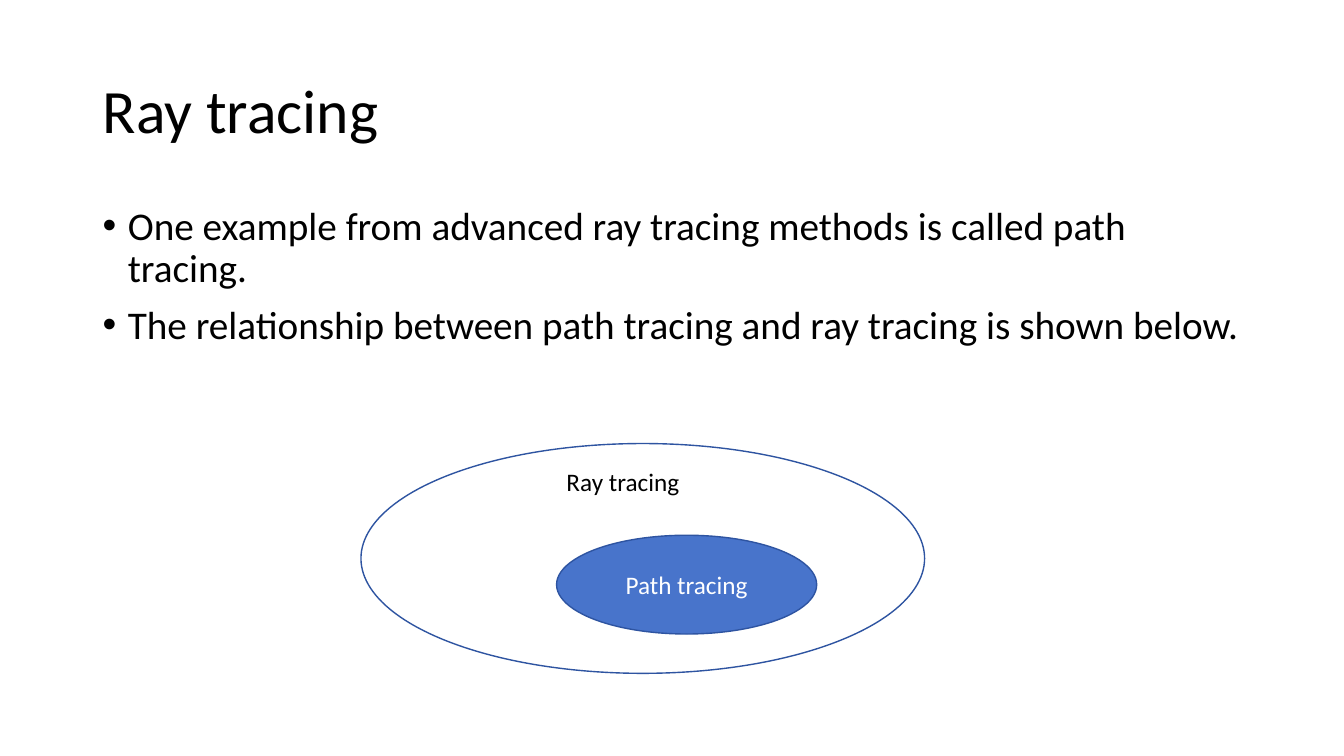
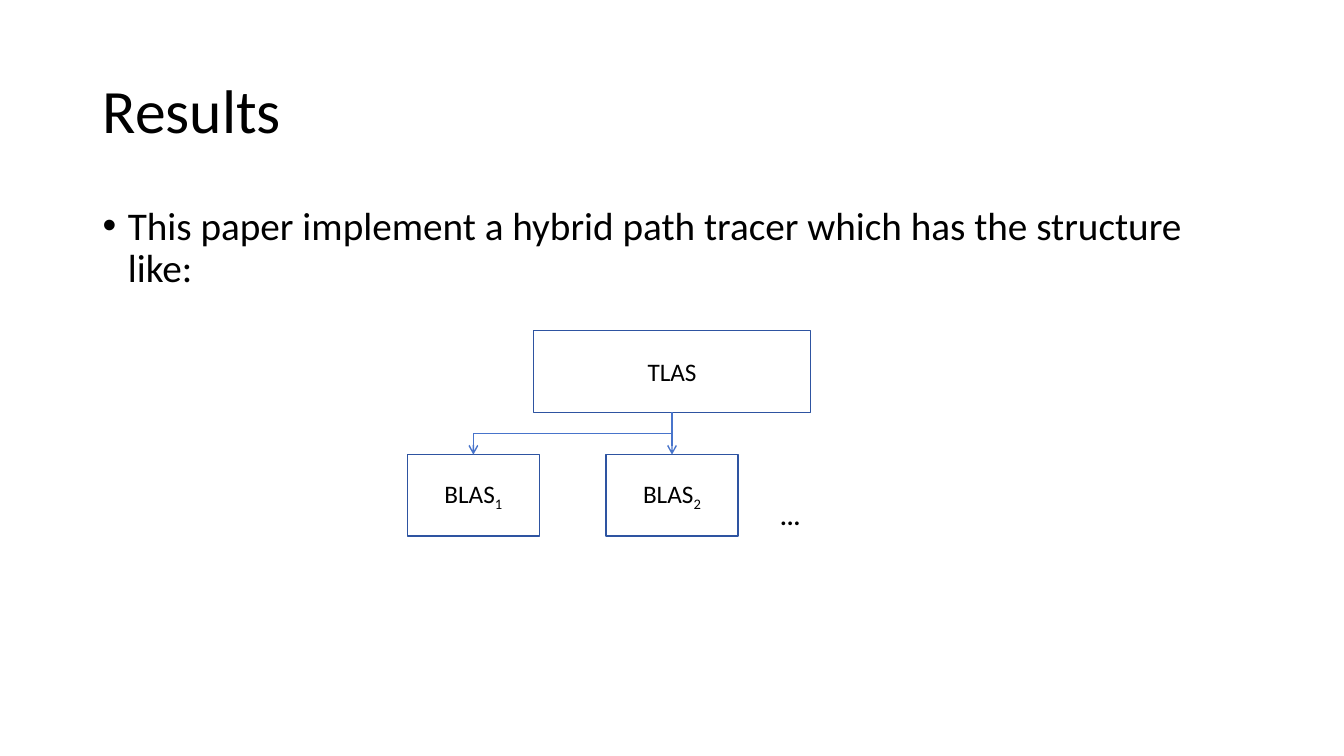
from dataclasses import dataclass

from lxml.etree import SubElement
from pptx import Presentation
from pptx.dml.color import RGBColor
from pptx.enum.shapes import MSO_CONNECTOR, MSO_SHAPE
from pptx.enum.text import MSO_ANCHOR, PP_ALIGN
from pptx.oxml.ns import qn
from pptx.util import Inches, Pt


@dataclass(frozen=True)
class Theme:
    font: str = "Calibri"
    ink: str = "000000"
    paper: str = "FFFFFF"
    accent: str = "4874CB"
    outline: str = "2E54A1"
    title_size: int = 44
    body_size: int = 28
    label_size: int = 18
    line_width: int = 1


THEME = Theme()


def rgb(value):
    return RGBColor.from_string(value)


def add_bullet(paragraph):
    properties = paragraph._p.get_or_add_pPr()
    properties.set("marL", str(Inches(0.25)))
    properties.set("indent", str(-Inches(0.25)))
    SubElement(properties, qn("a:buFont"), typeface="Arial")
    SubElement(properties, qn("a:buChar"), char="•")


def write(frame, paragraphs, *, size=THEME.label_size, color=THEME.ink,
          bold=False, align=PP_ALIGN.LEFT, anchor=MSO_ANCHOR.TOP,
          line_spacing=None, space_before=0, bullet=False, subscript=""):
    """Fill a text frame; a subscript follows the last paragraph."""
    frame.word_wrap = True
    frame.vertical_anchor = anchor
    for index, text in enumerate(paragraphs):
        paragraph = frame.add_paragraph() if index else frame.paragraphs[0]
        if bullet:
            add_bullet(paragraph)
        paragraph.alignment = align
        paragraph.line_spacing = line_spacing
        if index:
            paragraph.space_before = Pt(space_before)
        paragraph.add_run().text = text
    if subscript:
        lowered = paragraph.add_run()
        lowered.text = subscript
        lowered._r.get_or_add_rPr().set("baseline", "-25000")
    for paragraph in frame.paragraphs:
        for run in paragraph.runs:
            run.font.name = THEME.font
            run.font.size = Pt(size)
            run.font.bold = bold
            run.font.color.rgb = rgb(color)


def add_text(slide, box, paragraphs, **text_format):
    frame = slide.shapes.add_textbox(*map(Inches, box)).text_frame
    write(frame, paragraphs, **text_format)


def add_node(slide, kind, box, label="", fill=None, **text_format):
    """Add an outlined shape with an optional centred label."""
    node = slide.shapes.add_shape(kind, *map(Inches, box))
    node.shadow.inherit = False
    if fill:
        node.fill.solid()
        node.fill.fore_color.rgb = rgb(fill)
    else:
        node.fill.background()
    node.line.color.rgb = rgb(THEME.outline)
    node.line.width = Pt(THEME.line_width)
    if label:
        write(node.text_frame, [label], align=PP_ALIGN.CENTER,
              anchor=MSO_ANCHOR.MIDDLE, **text_format)
    return node


def add_arrow(slide, parent, child):
    """Link the bottom of parent to the top of child, at or left of it."""
    start_x = parent.left + parent.width // 2
    end_x = child.left + child.width // 2
    start_y, end_y = parent.top + parent.height, child.top
    run, drop = start_x - end_x, end_y - start_y
    bent = run > Inches(0.02)
    kind = MSO_CONNECTOR.ELBOW if bent else MSO_CONNECTOR.STRAIGHT
    arrow = slide.shapes.add_connector(kind, start_x, start_y, end_x, end_y)
    arrow.begin_connect(parent, 2)
    arrow.end_connect(child, 0)
    properties = arrow._element.spPr
    if bent:
        # A quarter turn makes the elbow leave its parent downwards
        frame = properties.find(qn("a:xfrm"))
        frame.attrib.pop("flipH", None)
        frame.set("rot", "5400000")
        arrow.left = (start_x + end_x - drop) // 2
        arrow.top = (start_y + end_y - run) // 2
        arrow.width, arrow.height = drop, run
    arrow.line.color.rgb = rgb(THEME.accent)
    arrow.line.width = Pt(THEME.line_width)
    SubElement(arrow.line._get_or_add_ln(), qn("a:tailEnd"), type="arrow")
    SubElement(properties, qn("a:effectLst"))


def add_content_slide(deck, title, bullets):
    slide = deck.slides.add_slide(deck.slide_layouts[6])
    add_text(slide, (0.92, 0.4, 11.5, 1.45), [title], size=THEME.title_size,
             anchor=MSO_ANCHOR.MIDDLE, line_spacing=0.9)
    add_text(slide, (0.92, 2, 11.5, 4.76), bullets, size=THEME.body_size,
             line_spacing=0.9, space_before=10, bullet=True)
    return slide


def build_ray_tracing(deck):
    slide = add_content_slide(deck, "Ray tracing", [
        "One example from advanced ray tracing methods is called path tracing.",
        "The relationship between path tracing and ray tracing is shown below.",
    ])
    # Path tracing as a subset of ray tracing
    add_node(slide, MSO_SHAPE.OVAL, (3.58, 4.4, 5.59, 2.28))
    add_node(slide, MSO_SHAPE.OVAL, (5.52, 5.31, 2.58, 0.98), "Path tracing",
             fill=THEME.accent, color=THEME.paper)
    add_text(slide, (5.52, 4.58, 1.39, 0.4), ["Ray tracing"])


def build_results(deck):
    slide = add_content_slide(deck, "Results", [
        "This paper implement a hybrid path tracer which has the structure like:",
    ])
    # Top level structure with its bottom level structures
    tlas = add_node(slide, MSO_SHAPE.RECTANGLE, (5.29, 3.28, 2.75, 0.81), "TLAS")
    first_left, step = 4.04, 1.97
    for index in range(2):
        blas = add_node(slide, MSO_SHAPE.RECTANGLE,
                        (first_left + index * step, 4.51, 1.31, 0.81),
                        "BLAS", subscript=str(index + 1))
        add_arrow(slide, tlas, blas)
    add_text(slide, (7.64, 4.91, 4.44, 0.4), ["..."], bold=True)


def main():
    deck = Presentation()
    deck.slide_width, deck.slide_height = Inches(13.33), Inches(7.5)
    build_ray_tracing(deck)
    build_results(deck)
    deck.save("out.pptx")


if __name__ == "__main__":
    main()
